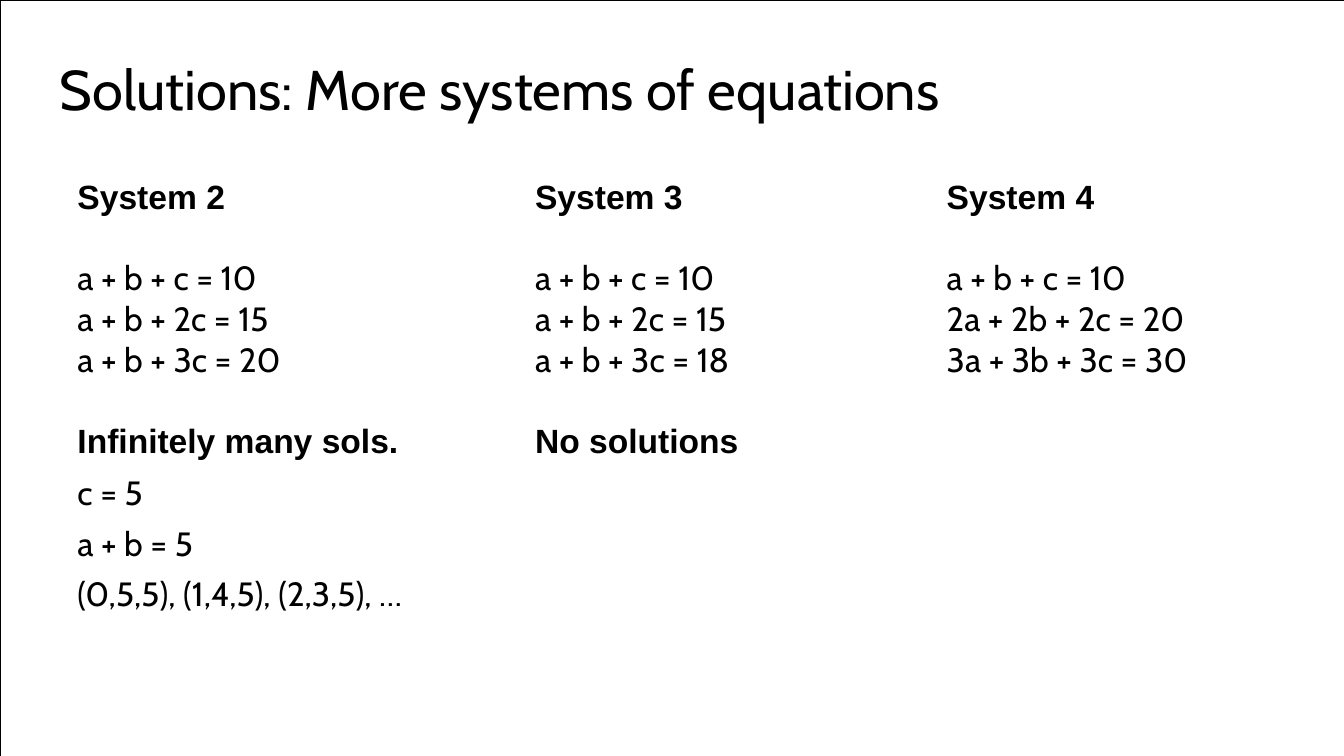
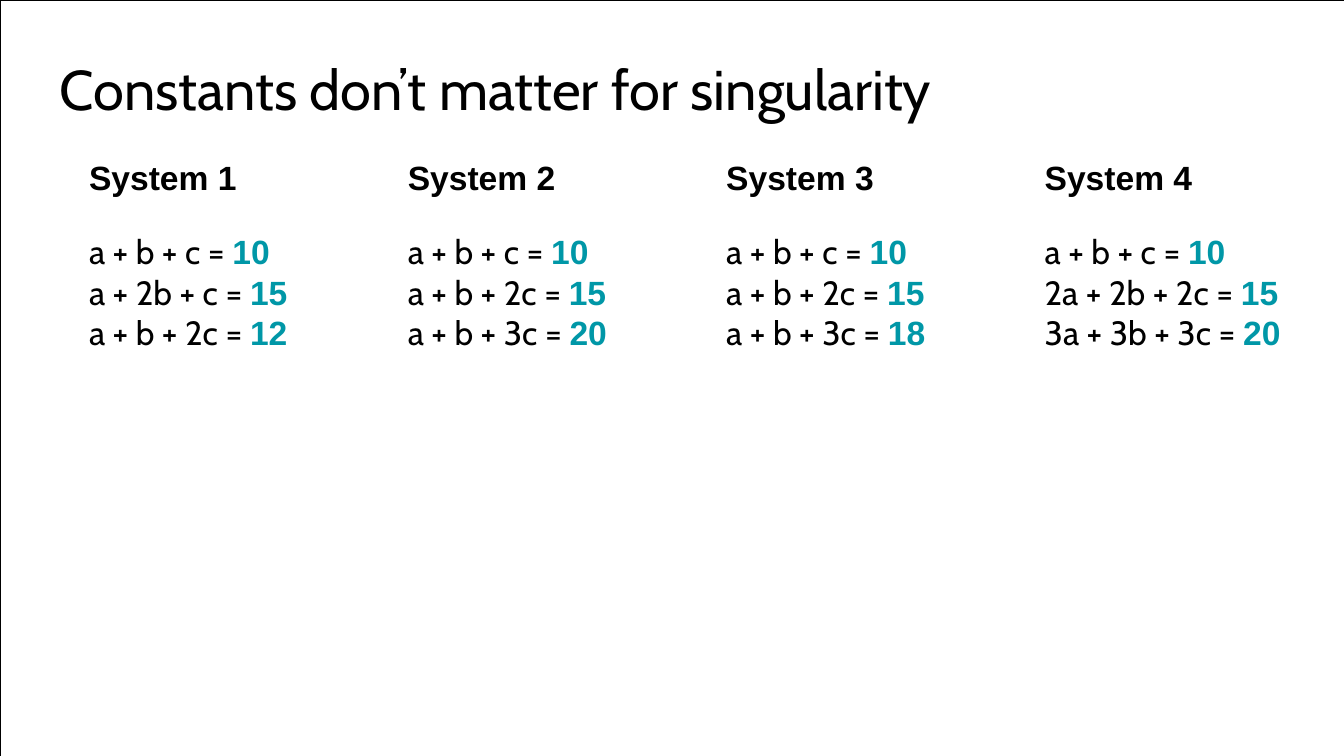
from dataclasses import dataclass

from pptx import Presentation
from pptx.dml.color import RGBColor as RGB
from pptx.enum.text import MSO_ANCHOR as Anchor
from pptx.enum.text import MSO_AUTO_SIZE as AutoSize
from pptx.enum.text import PP_ALIGN as Align
from pptx.util import Pt


@dataclass(frozen=True)
class Theme:
    width: float = 720
    height: float = 405
    black: RGB = RGB(0, 0, 0)
    white: RGB = RGB(255, 255, 255)
    teal: RGB = RGB(0x00, 0x97, 0xA7)
    heading_font: str = "Arial"
    body_font: str = "Cabin"
    title_size: float = 30
    text_size: float = 18
    frame_line: float = 0.25


@dataclass(frozen=True)
class Row:
    """One table row; lead is the exact line spacing, top the inset above."""
    height: float
    texts: tuple
    heading: bool = False
    lead: float | None = None
    top: float = 0


THEME = Theme()


def style(font, heading=False, color=THEME.black, size=THEME.text_size):
    font.name = THEME.heading_font if heading else THEME.body_font
    font.size = Pt(size)
    font.bold = heading
    font.color.rgb = color


def add_frame(slide):
    """Outline the page on the layout, so every slide shows it."""
    builder = slide.shapes.build_freeform(0, Pt(THEME.height))
    builder.add_line_segments([
        (Pt(THEME.width), Pt(THEME.height)), (Pt(THEME.width), 0), (0, 0)])
    frame = builder.convert_to_shape()
    frame.fill.background()
    frame.line.color.rgb = THEME.black
    frame.line.width = Pt(THEME.frame_line)
    frame.shadow.inherit = False
    slide.slide_layout.shapes.element.insert(2, frame.element)


def add_page(deck, title, title_width):
    page = deck.slides.add_slide(deck.slide_layouts[5])
    box = page.shapes.title
    box.left, box.top = Pt(31), Pt(28)
    box.width, box.height = Pt(title_width), Pt(38)
    text = box.text_frame
    text.margin_left = text.margin_top = Pt(1)
    text.margin_right = text.margin_bottom = 0
    text.vertical_anchor = Anchor.TOP
    text.word_wrap = True
    text.auto_size = AutoSize.SHAPE_TO_FIT_TEXT
    text.text = title
    para = text.paragraphs[0]
    para.alignment = Align.LEFT
    style(para.font, size=THEME.title_size)
    return page


def fill_cell(cell, text, row, indent, highlight):
    """Write one cell; highlight sets the constant after the equals sign."""
    cell.fill.background()
    cell.margin_left, cell.margin_top = Pt(indent), Pt(row.top)
    cell.margin_right = cell.margin_bottom = 0
    if not text:
        return
    para = cell.text_frame.paragraphs[0]
    if row.lead:
        para.line_spacing = Pt(row.lead)
    style(para.font, row.heading)
    if highlight and not row.heading:
        left_side, constant = text.split("= ")
        para.add_run().text = left_side + "= "
        span = para.add_run()
        span.text = constant
        style(span.font, True, THEME.teal)
    else:
        para.add_run().text = text


def add_systems(page, left, top, widths, indents, rows, highlight=False):
    table = page.shapes.add_table(
        len(rows), len(widths), Pt(left), Pt(top),
        Pt(sum(widths)), Pt(sum(row.height for row in rows))).table
    table.first_row = table.horz_banding = False
    for column, width in zip(table.columns, widths):
        column.width = Pt(width)
    for line, row in zip(table.rows, rows):
        line.height = Pt(row.height)
        for cell, text, indent in zip(line.cells, row.texts, indents):
            fill_cell(cell, text, row, indent, highlight)


def main():
    deck = Presentation()
    deck.slide_width, deck.slide_height = Pt(THEME.width), Pt(THEME.height)
    background = deck.slide_master.background.fill
    background.solid()
    background.fore_color.rgb = THEME.white

    solutions = add_page(deck, "Solutions: More systems of equations", 500)
    add_frame(solutions)
    add_systems(solutions, 39, 98.6, (227.5, 191, 193), (2.5, 20.2, 49.7), (
        Row(31, ("System 2", "System 3", "System 4"), heading=True, lead=17.4),
        Row(33, ("a + b + c = 10",) * 3, top=8.7),
        Row(22.3, ("a + b + 2c = 15", "a + b + 2c = 15", "2a + 2b + 2c = 20"),
            lead=19.4),
        Row(33, ("a + b + 3c = 20", "a + b + 3c = 18", "3a + 3b + 3c = 30"),
            lead=19.4),
        Row(35, ("Infinitely many sols.", "No solutions", ""),
            heading=True, top=8.7),
        Row(27.4, ("c = 5", "", ""), top=0.7),
        Row(27.4, ("a + b = 5", "", ""), top=0.7),
        Row(23, ("(0,5,5), (1,4,5), (2,3,5), …", "", ""), lead=21.1, top=0.7),
    ))

    constants = add_page(deck, "Constants don’t matter for singularity", 490)
    add_systems(constants, 45.2, 88.6, (148.3, 170.6, 170.6, 168.5),
                (2.5, 25, 25, 25), (
        Row(29, tuple(f"System {number}" for number in range(1, 5)),
            heading=True, lead=17.4),
        Row(31, ("a + b + c = 10",) * 4, top=6.8),
        Row(22.3, ("a + 2b + c = 15", "a + b + 2c = 15", "a + b + 2c = 15",
                   "2a + 2b + 2c = 15"), lead=19.4),
        Row(20, ("a + b + 2c = 12", "a + b + 3c = 20", "a + b + 3c = 18",
                 "3a + 3b + 3c = 20"), lead=19),
    ), highlight=True)
    deck.save("out.pptx")


if __name__ == "__main__":
    main()
